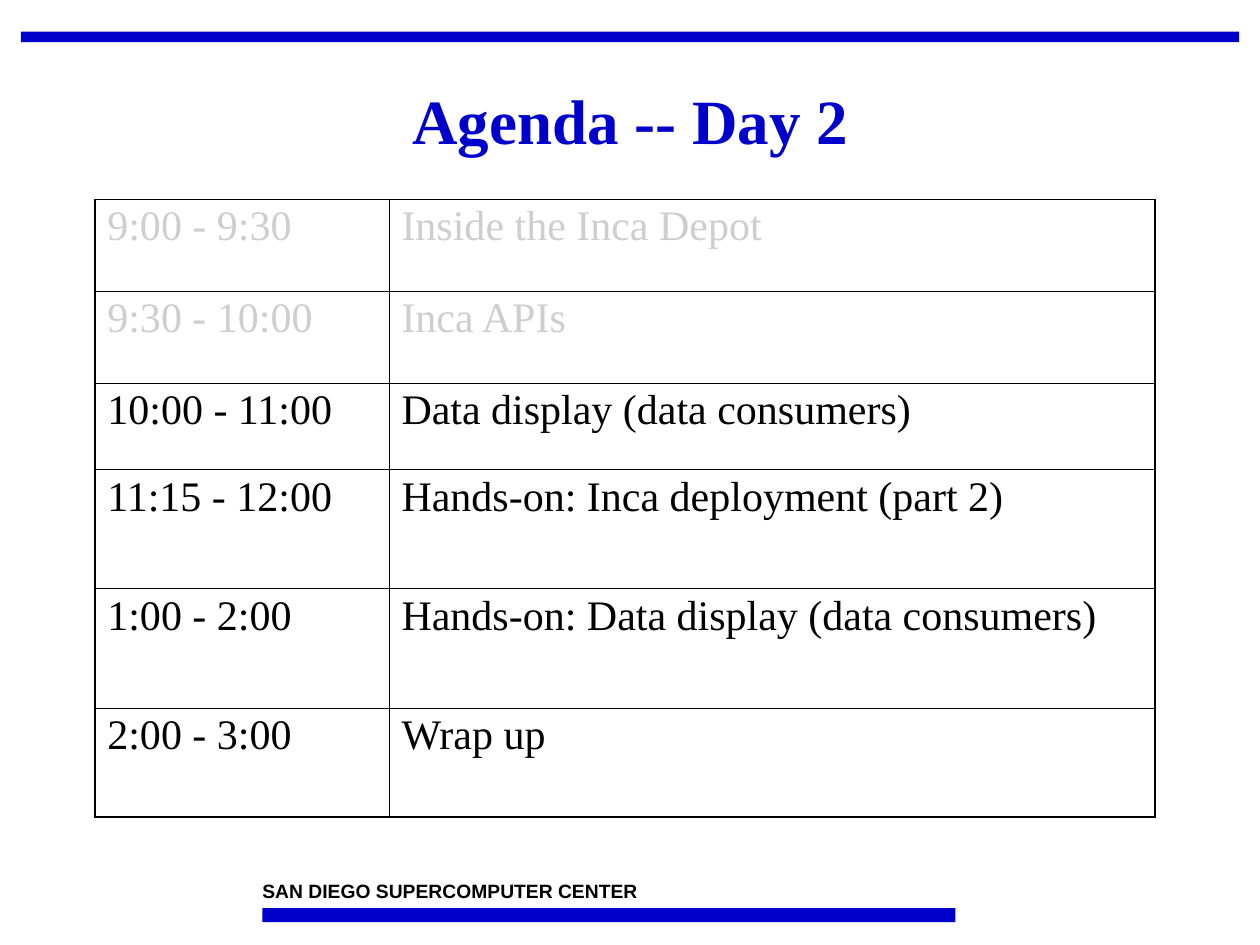
import pptx
import pptx.dml.color
import pptx.enum.shapes
import pptx.enum.text
import pptx.oxml
import pptx.oxml.ns
import pptx.util
from pptx.util import Cm, Pt

BLUE = pptx.dml.color.RGBColor(0x00, 0x00, 0xCC)
BLACK = pptx.dml.color.RGBColor(0x00, 0x00, 0x00)
GREY = pptx.dml.color.RGBColor(0xCE, 0xCE, 0xCE)

SERIF, SANS = "Times New Roman", "Arial"
THIN, THICK = Pt(0.45), Pt(1.08)

# Time, topic, row height in cm, text colour
AGENDA = [
    ("9:00 - 9:30", "Inside the Inca Depot", 1.85, GREY),
    ("9:30 - 10:00", "Inca APIs", 1.85, GREY),
    ("10:00 - 11:00", "Data display (data consumers)", 1.75, BLACK),
    ("11:15 - 12:00", "Hands-on: Inca deployment (part 2)", 2.4, BLACK),
    ("1:00 - 2:00", "Hands-on: Data display (data consumers)", 2.4, BLACK),
    ("2:00 - 3:00", "Wrap up", 2.2, BLACK),
]
COL_WIDTHS = [5.93, 15.45]


class SlideBuilder:
    """Holds the slide and draws each kind of element in its style."""

    def __init__(self, slide):
        self.s = slide

    def format(self, p, font, size, color, bold=False):
        p.font.name = font
        p.font.size = Pt(size)
        p.font.bold = bold
        p.font.color.rgb = color

    def bar(self, x, y, w, h):
        sp = self.s.shapes.add_shape(
            pptx.enum.shapes.MSO_SHAPE.RECTANGLE, Cm(x), Cm(y), Cm(w), Cm(h))
        sp.shadow.inherit = False
        sp.fill.solid()
        sp.fill.fore_color.rgb = BLUE
        sp.line.fill.background()

    def title(self, text, x, y, w, h):
        sp = self.s.shapes.title
        sp.left, sp.top, sp.width, sp.height = Cm(x), Cm(y), Cm(w), Cm(h)
        tf = sp.text_frame
        tf.text = text
        tf.vertical_anchor = pptx.enum.text.MSO_ANCHOR.MIDDLE
        p = tf.paragraphs[0]
        p.alignment = pptx.enum.text.PP_ALIGN.CENTER
        p.line_spacing = 0.9
        self.format(p, SERIF, 36, BLUE, bold=True)

    def label(self, text, x, y, w, h):
        tf = self.s.shapes.add_textbox(Cm(x), Cm(y), Cm(w), Cm(h)).text_frame
        tf.word_wrap = True
        tf.margin_left = tf.margin_right = tf.margin_top = tf.margin_bottom = 0
        tf.text = text
        self.format(tf.paragraphs[0], SANS, 11, BLACK, bold=True)

    def borders(self, cell, widths):
        tc_pr = cell._tc.get_or_add_tcPr()
        for i, (side, width) in enumerate(widths.items()):
            tc_pr.insert(i, pptx.oxml.parse_xml(
                f'<a:ln{side} {pptx.oxml.ns.nsdecls("a")} w="{width}"><a:solidFill>'
                f'<a:srgbClr val="{BLACK}"/></a:solidFill></a:ln{side}>'))

    def agenda(self, rows, col_widths, x, y):
        n_rows, n_cols = len(rows), len(col_widths)
        tbl = self.s.shapes.add_table(
            n_rows, n_cols, Cm(x), Cm(y),
            Cm(sum(col_widths)), Cm(sum(row[2] for row in rows))).table
        tbl.first_row = tbl.horz_banding = False
        for col, width in zip(tbl.columns, col_widths):
            col.width = Cm(width)
        for i, (time, topic, height, color) in enumerate(rows):
            tbl.rows[i].height = Cm(height)
            for j, text in enumerate((time, topic)):
                cell = tbl.cell(i, j)
                cell.text = text
                cell.fill.background()
                p = cell.text_frame.paragraphs[0]
                p.line_spacing = 0.95
                self.format(p, SERIF, 24, color)
                # Thick lines around the table, thin lines inside
                self.borders(cell, {
                    "L": THICK if j == 0 else THIN,
                    "R": THICK if j == n_cols - 1 else THIN,
                    "T": THICK if i == 0 else THIN,
                    "B": THICK if i == n_rows - 1 else THIN,
                })


def main():
    prs = pptx.Presentation()
    prs.slide_width, prs.slide_height = Cm(25.4), Cm(19.05)
    s = SlideBuilder(prs.slides.add_slide(prs.slide_layouts[5]))

    # Top and bottom bars with the centre's name
    s.bar(0.42, 0.64, 24.56, 0.21)
    s.bar(5.29, 18.31, 13.97, 0.28)
    s.label("SAN DIEGO SUPERCOMPUTER CENTER", 5.29, 17.73, 9.53, 0.46)

    # Title and agenda
    s.title("Agenda -- Day 2", 0.42, 1.06, 24.56, 2.9)
    s.agenda(AGENDA, COL_WIDTHS, 1.91, 4.02)

    prs.save("out.pptx")


if __name__ == "__main__":
    main()
